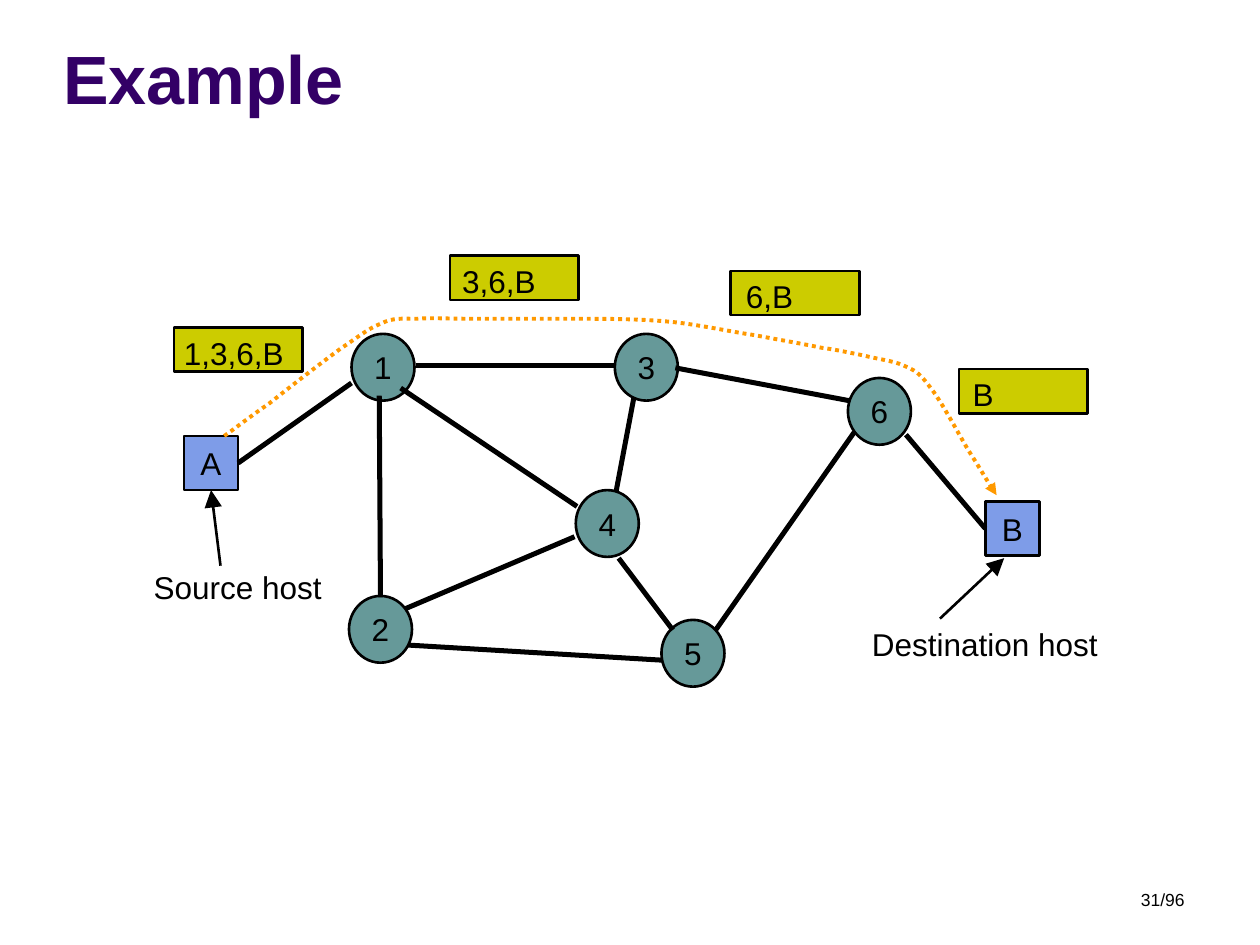
"""Build the source-routing example slide with its network, route and labels."""
from lxml.etree import SubElement
from pptx import Presentation
from pptx.dml.color import RGBColor
from pptx.enum.dml import MSO_LINE
from pptx.enum.shapes import MSO_CONNECTOR, MSO_SHAPE
from pptx.enum.text import MSO_ANCHOR as ANCHOR, PP_ALIGN as ALIGN
from pptx.oxml.ns import qn
from pptx.util import Inches, Pt

rgb = RGBColor.from_string
BLACK = "000000"


def write(frame, text, size=18, color=BLACK, bold=False, align=ALIGN.LEFT, **frame_format):
    for name, value in frame_format.items():
        setattr(frame, name, value)
    paragraph = frame.paragraphs[0]
    paragraph.text = text
    paragraph.alignment = align
    font = paragraph.runs[0].font
    for name, value in {"name": "Arial", "size": Pt(size), "bold": bold}.items():
        setattr(font, name, value)
    font.color.rgb = rgb(color)


def connect(start, end, width):
    line = shapes.add_connector(MSO_CONNECTOR.STRAIGHT, *map(Inches, start + end))
    line.line.color.rgb = rgb(BLACK)
    line.line.width = Pt(width)
    SubElement(line._element.spPr, qn("a:effectLst"))
    return line


prs = Presentation()
prs.slide_width, prs.slide_height = Inches(10), Inches(7.5)
slide = prs.slides.add_slide(prs.slide_layouts[5])
shapes = slide.shapes

title = shapes.title
title_box = {"left": 0.4, "top": 0.13, "width": 8.35, "height": 0.86}
for name, value in title_box.items():
    setattr(title, name, Inches(value))
write(title.text_frame, "Example", 39, "330066", True, vertical_anchor=ANCHOR.BOTTOM)

no_margins = dict.fromkeys(("margin_left", "margin_top", "margin_right", "margin_bottom"), 0)
header_format = {"vertical_anchor": ANCHOR.TOP, "align": ALIGN.LEFT, "margin_top": Inches(0.05)}
centered = {"vertical_anchor": ANCHOR.MIDDLE, "align": ALIGN.CENTER}
headers = [("1,3,6,B", 1.38, 2.6, 0.08), ("3,6,B", 3.57, 2.03, 0.1),
           ("6,B", 5.8, 2.15, 0.12), ("B", 7.61, 2.93, 0.11)]
nodes = [("1", 2.79, 2.65), ("2", 2.77, 4.73), ("3", 4.88, 2.65),
         ("5", 5.25, 4.92), ("4", 4.57, 3.89), ("6", 6.73, 3)]
hosts = [("A", 1.46, 3.46), ("B", 7.82, 3.98)]

boxes = [(text, x, y, 1.02, 0.35, MSO_SHAPE.RECTANGLE, "CCCC00",
          {**header_format, "margin_left": Inches(indent)}) for text, x, y, indent in headers]
boxes += [(text, x, y, 0.5, 0.53, MSO_SHAPE.OVAL, "669999", centered) for text, x, y in nodes]
boxes += [(text, x, y, 0.43, 0.43, MSO_SHAPE.RECTANGLE, "7E9CE8", centered) for text, x, y in hosts]

drawn = []
for text, x, y, width, height, kind, fill, text_format in boxes:
    box = shapes.add_shape(kind, Inches(x), Inches(y), Inches(width), Inches(height))
    box.shadow.inherit = False
    box.fill.solid()
    box.fill.fore_color.rgb = rgb(fill)
    box.line.color.rgb = rgb(BLACK)
    box.line.width = Pt(1.5)
    write(box.text_frame, text, **{**no_margins, **text_format})
    drawn.append(box)
source, destination = drawn[-2:]

links = [((3.3, 2.9), (4.87, 2.9)), ((5.03, 3.16), (4.89, 3.9)), ((4.91, 4.43), (5.34, 5)),
         ((5.36, 2.92), (6.74, 3.18)), ((5.68, 5), (6.78, 3.43)), ((5.26, 5.24), (3.24, 5.12)),
         ((3.01, 3.14), (3.02, 4.74)), ((3.18, 3.08), (4.58, 4.02)), ((4.56, 4.26), (3.22, 4.83))]
for start, end in links:
    connect(start, end, 2.86)
connect((1.89, 3.67), (2.79, 3.04), 2.86).begin_connect(source, 3)
connect((7.8, 4.16), (7.19, 3.45), 2.86).begin_connect(destination, 1)

source_arrow = connect((1.75, 4.49), (1.67, 3.9), 1.5)
source_arrow.end_connect(source, 2)
destination_arrow = connect((7.46, 4.91), (7.97, 4.43), 1.5)

captions = [("Source host", 1.22, 4.51, 1.4), ("Destination host", 6.92, 4.96, 1.9)]
for text, x, y, width in captions:
    caption = shapes.add_textbox(Inches(x), Inches(y), Inches(width), Inches(0.3))
    write(caption.text_frame, text, word_wrap=True, **no_margins)

route_start = (1.78, 3.46)
route_curves = [
    [(1.84, 3.42), (1.98, 3.31), (2.14, 3.2)], [(2.29, 3.08), (2.55, 2.88), (2.7, 2.77)],
    [(2.85, 2.67), (2.92, 2.61), (3.02, 2.57)], [(3.12, 2.52), (3.18, 2.53), (3.31, 2.53)],
    [(3.43, 2.52), (3.54, 2.53), (3.75, 2.53)], [(3.96, 2.53), (4.3, 2.53), (4.55, 2.53)],
    [(4.81, 2.53), (5.04, 2.53), (5.28, 2.55)], [(5.52, 2.57), (5.78, 2.63), (5.99, 2.66)],
    [(6.2, 2.7), (6.38, 2.73), (6.52, 2.76)], [(6.67, 2.78), (6.74, 2.8), (6.85, 2.82)],
    [(6.96, 2.85), (7.08, 2.86), (7.17, 2.9)], [(7.26, 2.94), (7.29, 2.95), (7.38, 3.07)],
    [(7.47, 3.18), (7.6, 3.43), (7.69, 3.58)], [(7.78, 3.72), (7.86, 3.86), (7.91, 3.93)]]
builder = shapes.build_freeform(*map(Inches, route_start))
builder.add_line_segments(
    [(Inches(x), Inches(y)) for curve in route_curves for x, y in curve], close=False)
route = builder.convert_to_shape()
route.shadow.inherit = False
route.fill.background()
route.line.color.rgb = rgb("FF9900")
route.line.width = Pt(2.25)
route.line.dash_style = MSO_LINE.ROUND_DOT

segments = route._element.xpath(".//a:lnTo")
outline = segments[0].getparent()
for first in range(0, len(segments), 3):
    curve = SubElement(outline, qn("a:cubicBezTo"))
    for segment in segments[first:first + 3]:
        curve.append(segment[0])
        outline.remove(segment)

arrows = [(source_arrow, "lg"), (destination_arrow, "lg"), (route, "med")]
for arrow, size in arrows:
    SubElement(arrow.line._get_or_add_ln(), qn("a:tailEnd"), type="triangle", w=size, len=size)

page_number = shapes.add_textbox(Inches(7.17), Inches(7.01), Inches(2.33), Inches(0.32))
write(page_number.text_frame, "31/96", 10, align=ALIGN.RIGHT, word_wrap=True)

prs.save("out.pptx")
